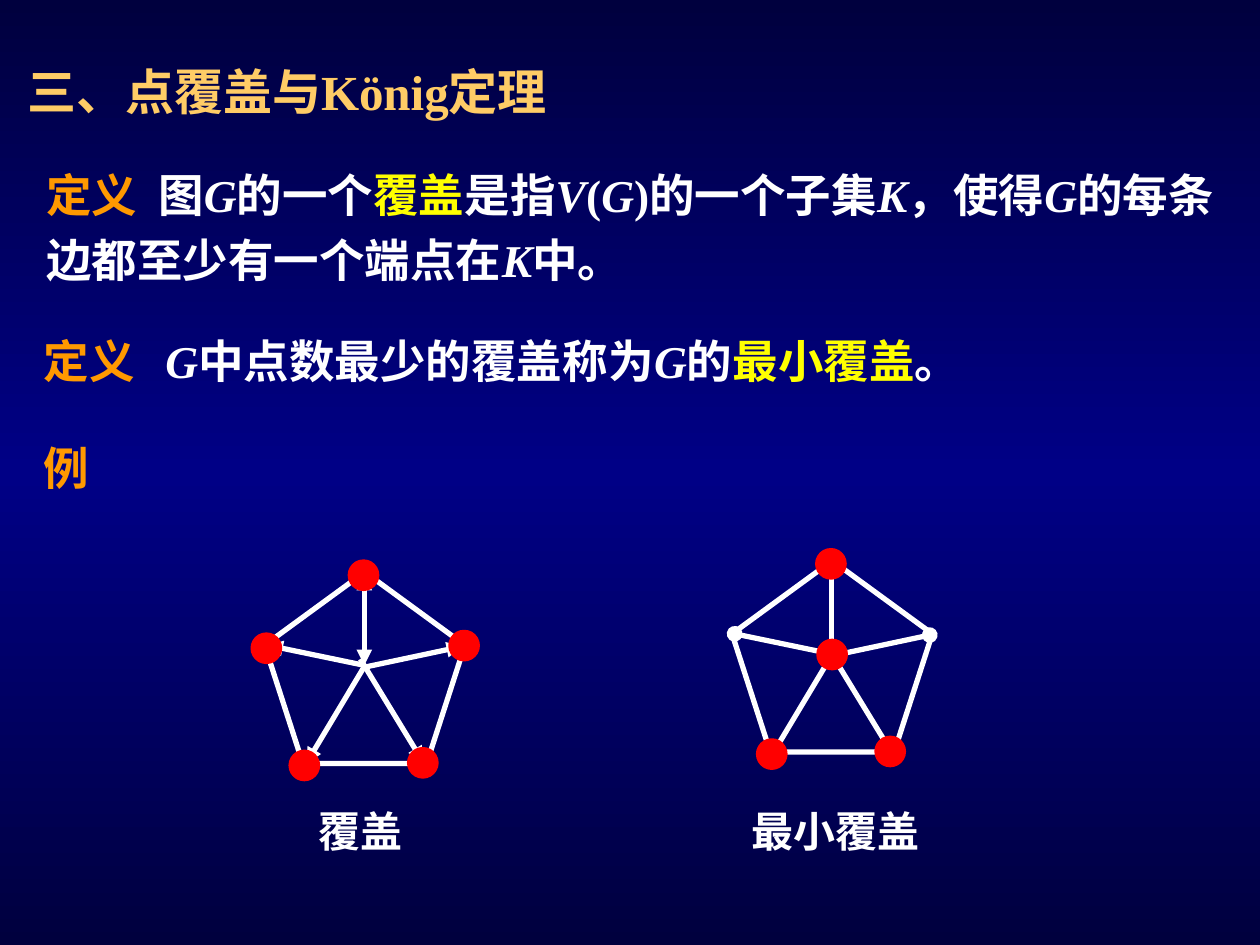
from copy import deepcopy

from lxml import etree
from pptx import Presentation
from pptx.dml.color import RGBColor
from pptx.enum.shapes import MSO_CONNECTOR, MSO_SHAPE
from pptx.oxml.ns import qn
from pptx.util import Pt

STRAIGHT = MSO_CONNECTOR.STRAIGHT
PENTAGON = MSO_SHAPE.REGULAR_PENTAGON
OVAL = MSO_SHAPE.OVAL

FONT = "Times New Roman"
WHITE, YELLOW, ORANGE, GOLD, RED = "FFFFFF", "FFFF00", "FF9900", "FFCC66", "FF0000"
DARK_BLUE, BLUE = "00003E", "000086"
LINE_WIDTH = 3
DOT_SIZE = 15.1

# Points of the wheel graph, measured from the pentagon's top left corner
RIM_SIZE = (114.5, 109.4)
HUB = (57.2, 53.6)
TOP, LEFT, RIGHT = (56.5, 1.8), (1, 43.5), (114, 42)
BOTTOM_LEFT, BOTTOM_RIGHT = (22.7, 110.5), (90.4, 109)
SPOKES = [
    ((57, 1.5), (57, 53.3)),
    ((1.5, 41.8), (57, 53.3)),
    ((23.8, 109.4), (57, 54)),
    ((90.7, 108.7), (54.7, 49.7)),
    ((113, 42.5), (56.5, 54.5)),
]


def color(hex_string):
    return RGBColor.from_string(hex_string)


def set_background(slide, edge, middle):
    """Vertical gradient that is brightest at half height."""
    fill = slide.background.fill
    fill.gradient()
    fill.gradient_angle = 90
    for stop, position in zip(fill.gradient_stops, (0, 1)):
        stop.position = position
        stop.color.rgb = color(edge)
    stop_list = next(slide.element.iter(qn("a:gsLst")))
    stop_list.insert(1, deepcopy(stop_list[0]))
    center = fill.gradient_stops[1]
    center.position = 0.5
    center.color.rgb = color(middle)


def add_text(shapes, runs, left, top, width, height, size=26, line_spacing=None, tab=None):
    """Text box of one paragraph; each run is (text, color) or (text, color, italic)."""
    frame = shapes.add_textbox(Pt(left), Pt(top), Pt(width), Pt(height)).text_frame
    frame.word_wrap = True
    paragraph = frame.paragraphs[0]
    if line_spacing:
        paragraph.line_spacing = line_spacing
    if tab:
        properties = paragraph._p.get_or_add_pPr()
        tabs = etree.SubElement(properties, qn("a:tabLst"))
        etree.SubElement(tabs, qn("a:tab"), pos=str(Pt(tab)), algn="l")
    for text, run_color, *italic in runs:
        run = paragraph.add_run()
        run.text = text
        run.font.name = FONT
        run.font.size = Pt(size)
        run.font.bold = True
        run.font.italic = bool(italic)
        run.font.color.rgb = color(run_color)


def symbol(letter):
    return letter, WHITE, True


def add_outline(shapes, kind, left, top, width, height, line, fill=None):
    shape = shapes.add_shape(kind, Pt(left), Pt(top), Pt(width), Pt(height))
    shape.shadow.inherit = False
    shape.line.color.rgb = color(line)
    shape.line.width = Pt(LINE_WIDTH)
    if fill:
        shape.fill.solid()
        shape.fill.fore_color.rgb = color(fill)
    else:
        shape.fill.background()


def add_spoke(shapes, start, end, head, tail=None):
    spoke = shapes.add_connector(STRAIGHT, *(Pt(value) for value in start + end))
    spoke.line.color.rgb = color(WHITE)
    spoke.line.width = Pt(LINE_WIDTH)
    line = spoke.line._get_or_add_ln()
    etree.SubElement(line, qn("a:headEnd"), type=head)
    if tail:
        etree.SubElement(line, qn("a:tailEnd"), type=tail)
    etree.SubElement(spoke._element.spPr, qn("a:effectLst"))


def add_wheel(slide, left, top, end_style, cover, caption, caption_left, caption_width):
    """Wheel graph with the vertices of the cover marked, and a caption below."""
    shapes = slide.shapes.add_group_shape().shapes

    def place(point):
        return left + point[0], top + point[1]

    add_outline(shapes, PENTAGON, left, top, *RIM_SIZE, line=WHITE)
    for number, (start, end) in enumerate(SPOKES):
        tail = end_style if number == 0 else None
        add_spoke(shapes, place(start), place(end), end_style, tail)
    add_text(shapes, [(caption, WHITE)], caption_left, 456.5, caption_width, 40.3, size=24)
    for vertex in cover:
        x, y = place(vertex)
        add_outline(shapes, OVAL, x - DOT_SIZE / 2, y - DOT_SIZE / 2,
                    DOT_SIZE, DOT_SIZE, line=RED, fill=RED)


def add_definitions(slide):
    shapes = slide.shapes
    add_text(shapes, [("三、点覆盖与König定理", GOLD)], 8.6, 31.7, 594, 41, size=28)
    cover_definition = [
        ("定义", ORANGE), ("\t图", WHITE), symbol("G"), ("的一个", WHITE),
        ("覆盖", YELLOW), ("是指", WHITE), symbol("V"), ("(", WHITE), symbol("G"),
        (")的一个子集", WHITE), symbol("K"), ("，使得", WHITE), symbol("G"),
        ("的每条边都至少有一个端点在", WHITE), symbol("K"), ("中。", WHITE),
    ]
    add_text(shapes, cover_definition, 19.4, 85.7, 686.2, 82.1, line_spacing=1.2, tab=64)
    minimum_definition = [
        ("定义\t", ORANGE), symbol("G"), ("中点数最少的覆盖称为", WHITE),
        symbol("G"), ("的", WHITE), ("最小覆盖", YELLOW), ("。", WHITE),
    ]
    add_text(shapes, minimum_definition, 18, 186.5, 620, 38.9, tab=69.5)
    add_text(shapes, [("例", ORANGE)], 18, 247.7, 52.6, 38.9)


def main():
    presentation = Presentation()
    presentation.slide_width, presentation.slide_height = Pt(720), Pt(540)
    slide = presentation.slides.add_slide(presentation.slide_layouts[6])
    set_background(slide, DARK_BLUE, BLUE)
    add_definitions(slide)
    add_wheel(slide, 151.2, 326.9, "triangle",
              [TOP, RIGHT, BOTTOM_RIGHT, BOTTOM_LEFT, LEFT], "覆盖", 175, 66.2)
    add_wheel(slide, 418.3, 320.4, "oval",
              [HUB, TOP, BOTTOM_RIGHT, BOTTOM_LEFT], "最小覆盖", 422.6, 113)
    presentation.save("out.pptx")


if __name__ == "__main__":
    main()
